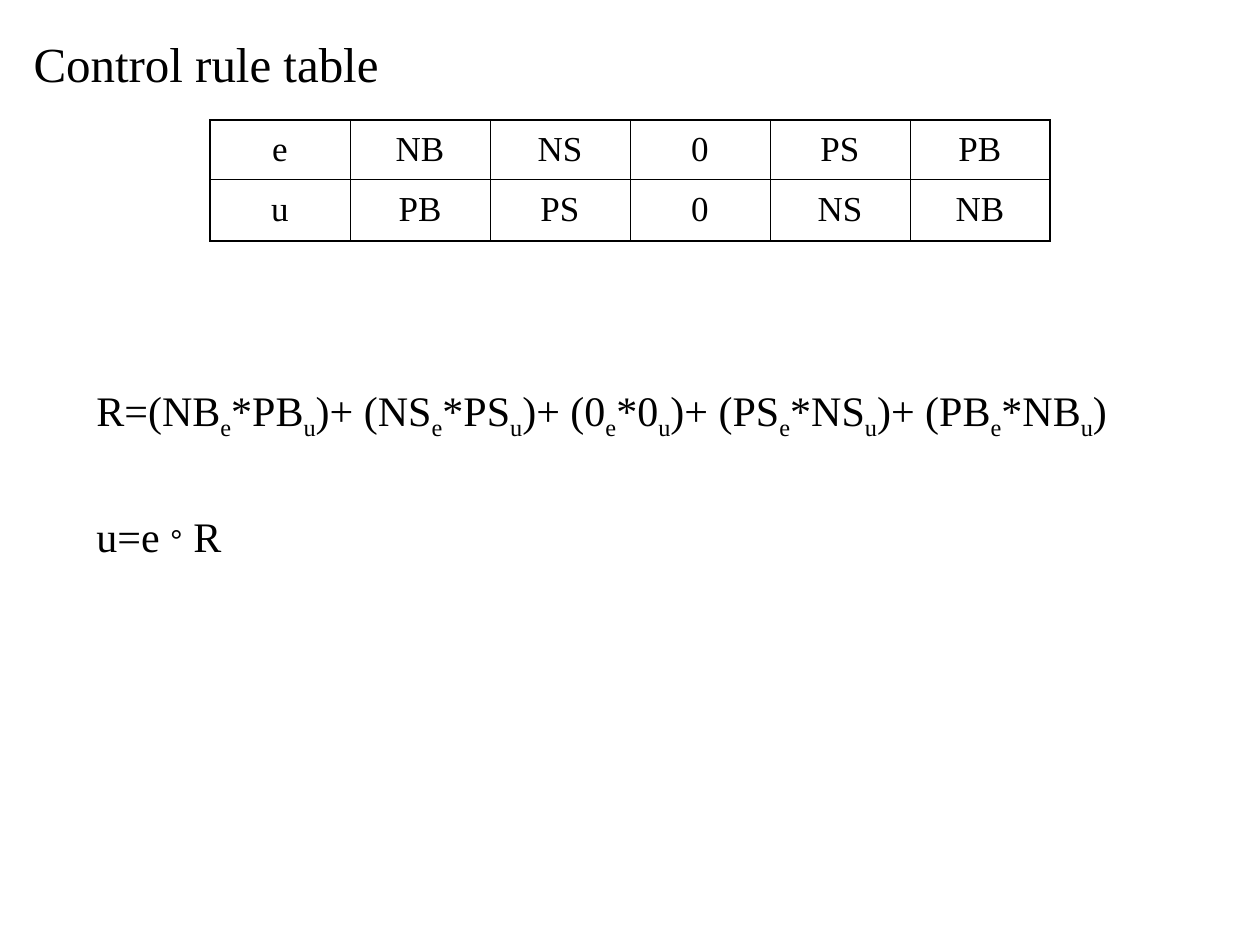
from dataclasses import dataclass

from pptx import Presentation
from pptx.dml.color import RGBColor
from pptx.enum.text import MSO_ANCHOR, PP_ALIGN
from pptx.oxml import parse_xml
from pptx.oxml.ns import nsdecls
from pptx.util import Emu, Pt

EMU_PER_PX = 914400 / 126


@dataclass(frozen=True)
class Theme:
    font: str = "Times New Roman"
    symbol_font: str = "Arial"
    ink: str = "000000"
    title_size: int = 28
    table_size: int = 20
    formula_size: int = 24
    symbol_size: int = 18
    outer_line: float = 1.08
    inner_line: float = 0.45


THEME = Theme()

TITLE = "Control rule table"
RULES = [
    ["e", "NB", "NS", "0", "PS", "PB"],
    ["u", "PB", "PS", "0", "NS", "NB"],
]


def px(length):
    return Emu(round(length * EMU_PER_PX))


def style_paragraph(paragraph, size, align=PP_ALIGN.LEFT):
    paragraph.alignment = align
    paragraph.font.name = THEME.font
    paragraph.font.size = Pt(size)
    paragraph.font.color.rgb = RGBColor.from_string(THEME.ink)


def add_title(slide, text, left, top, width, height):
    title = slide.shapes.title
    title.left, title.top = px(left), px(top)
    title.width, title.height = px(width), px(height)
    frame = title.text_frame
    frame.text = text
    frame.word_wrap = True
    frame.vertical_anchor = MSO_ANCHOR.MIDDLE
    style_paragraph(frame.paragraphs[0], THEME.title_size)


def set_borders(cell, widths):
    """Draw the cell's lines; widths gives points in the order L, R, T, B."""
    properties = cell._tc.get_or_add_tcPr()
    for index, (side, width) in enumerate(zip("LRTB", widths)):
        line = parse_xml(
            f'<a:ln{side} {nsdecls("a")} w="{Pt(width)}"><a:solidFill>'
            f'<a:srgbClr val="{THEME.ink}"/></a:solidFill></a:ln{side}>'
        )
        properties.insert(index, line)


def add_rule_table(slide, rules, left, top, column_width, row_heights):
    row_count, column_count = len(rules), len(rules[0])
    table = slide.shapes.add_table(
        row_count, column_count, px(left), px(top),
        px(column_width * column_count), px(sum(row_heights)),
    ).table
    table.first_row = table.horz_banding = False
    for column in table.columns:
        column.width = px(column_width)
    for row, height in zip(table.rows, row_heights):
        row.height = px(height)

    for row_index, labels in enumerate(rules):
        for column_index, label in enumerate(labels):
            cell = table.cell(row_index, column_index)
            cell.text = label
            cell.vertical_anchor = MSO_ANCHOR.MIDDLE
            cell.fill.background()
            style_paragraph(cell.text_frame.paragraphs[0],
                            THEME.table_size, PP_ALIGN.CENTER)
            # The frame is heavier than the lines inside it
            on_frame = (column_index == 0, column_index == column_count - 1,
                        row_index == 0, row_index == row_count - 1)
            set_borders(cell, [THEME.outer_line if outer else THEME.inner_line
                               for outer in on_frame])


def add_formula_box(slide, left, top, width, height):
    box = slide.shapes.add_textbox(px(left), px(top), px(width), px(height))
    box.text_frame.word_wrap = True
    paragraph = box.text_frame.paragraphs[0]
    style_paragraph(paragraph, THEME.formula_size)
    return paragraph


def add_run(paragraph, text, subscript=False):
    run = paragraph.add_run()
    run.text = text
    if subscript:
        run._r.get_or_add_rPr().set("baseline", "-25000")
    return run


def write_relation(paragraph, rules):
    """Write R as the sum of products of each e label with its u label."""
    names = [row[0] for row in rules]
    opening = "R=("
    for error, control in zip(rules[0][1:], rules[1][1:]):
        add_run(paragraph, opening + error)
        add_run(paragraph, names[0], subscript=True)
        add_run(paragraph, "*" + control)
        add_run(paragraph, names[1], subscript=True)
        opening = ")+ ("
    add_run(paragraph, ")")


def write_composition(paragraph):
    add_run(paragraph, "u=e ")
    symbol = add_run(paragraph, "°")
    symbol.font.name = THEME.symbol_font
    symbol.font.size = Pt(THEME.symbol_size)
    add_run(paragraph, " R")


def main():
    presentation = Presentation()
    presentation.slide_width, presentation.slide_height = px(1260), px(945)
    slide = presentation.slides.add_slide(presentation.slide_layouts[5])

    # Title and rule table
    add_title(slide, TITLE, 21, 21, 388, 84)
    add_rule_table(slide, RULES, 210, 120, 140, [59, 62])

    # Formulas
    write_relation(add_formula_box(slide, 84, 378, 1081, 70), RULES)
    write_composition(add_formula_box(slide, 84, 504, 168, 63))

    presentation.save("out.pptx")


if __name__ == "__main__":
    main()
